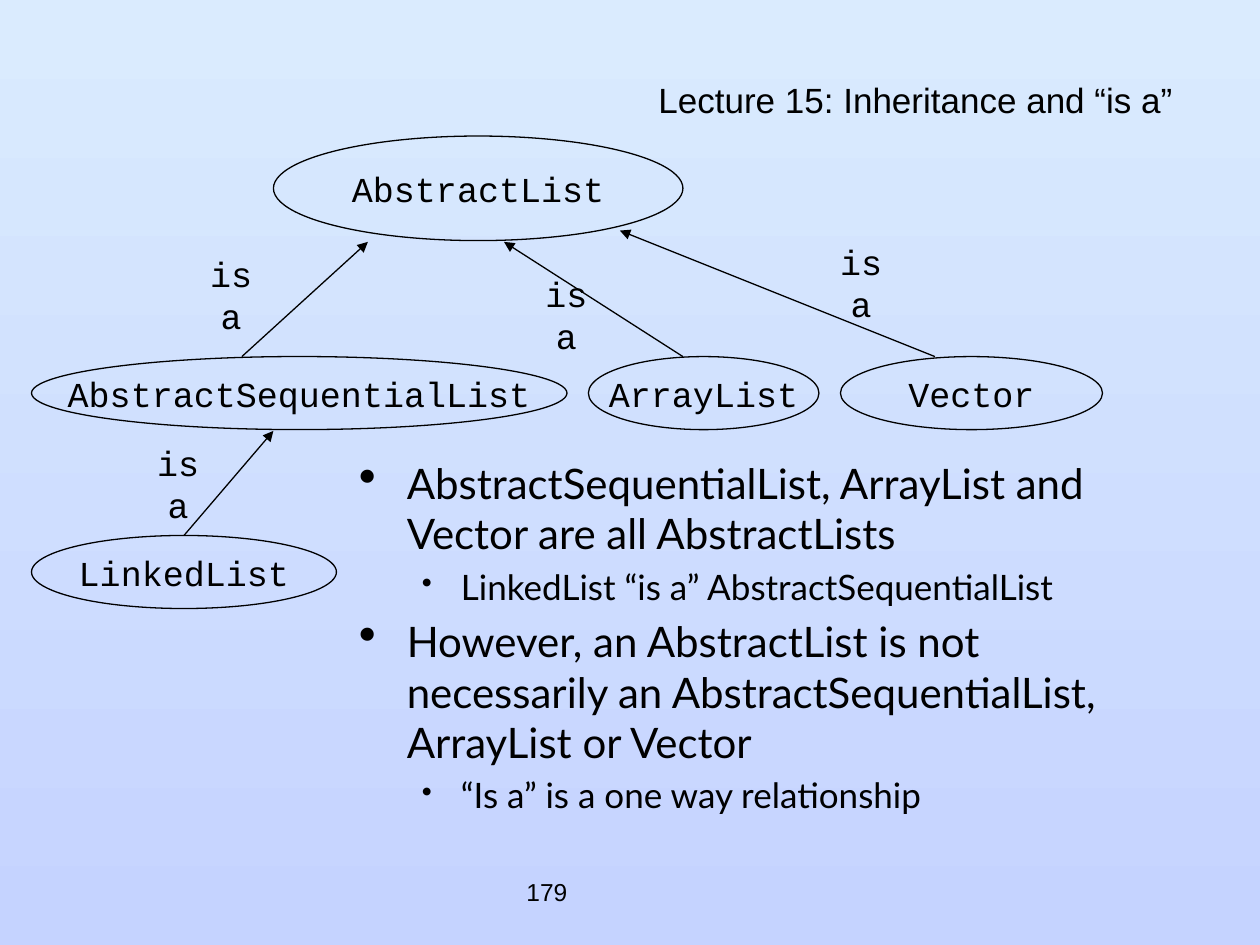
from typing import NamedTuple

import lxml.etree
import pptx
import pptx.dml.color
import pptx.enum.shapes
import pptx.enum.text
import pptx.oxml.ns
import pptx.util

Inches = pptx.util.Inches
Pt = pptx.util.Pt
Align = pptx.enum.text.PP_ALIGN
Anchor = pptx.enum.text.MSO_ANCHOR
qn = pptx.oxml.ns.qn

BLACK = pptx.dml.color.RGBColor(0x00, 0x00, 0x00)
SKY_TOP = pptx.dml.color.RGBColor(0xDA, 0xEB, 0xFE)
SKY_BOTTOM = pptx.dml.color.RGBColor(0xC5, 0xD3, 0xFF)
LINE_WIDTH = Pt(0.75)

TITLE_FONT = {"name": "Arial", "size": Pt(20)}
NUMBER_FONT = {"name": "Arial", "size": Pt(14)}
CODE_FONT = {"name": "Courier New", "size": Pt(20)}


class Box(NamedTuple):
    left: float
    top: float
    width: float
    height: float


class ClassNode(NamedTuple):
    name: str
    box: Box


class IsA(NamedTuple):
    """An arrow from subclass to superclass, and the corner of its label."""
    start: tuple[float, float]
    end: tuple[float, float]
    label: tuple[float, float]


class Level(NamedTuple):
    indent: float
    hanging: float
    bullet_percent: int
    space_before: int
    font: dict


class Point(NamedTuple):
    text: str
    level: int


ROW_TOP, ROW_HEIGHT = 2.83, 0.58
CLASSES = [
    ClassNode("AbstractList", Box(2.17, 1.08, 3.25, 0.83)),
    ClassNode("AbstractSequentialList", Box(0.25, ROW_TOP, 4.25, ROW_HEIGHT)),
    ClassNode("ArrayList", Box(4.67, ROW_TOP, 1.83, ROW_HEIGHT)),
    ClassNode("Vector", Box(6.67, ROW_TOP, 2.08, ROW_HEIGHT)),
    ClassNode("LinkedList", Box(0.25, 4.25, 2.42, ROW_HEIGHT)),
]
RELATIONS = [
    IsA((1.92, ROW_TOP), (2.92, 1.92), (1.42, 2.17)),
    IsA((5.42, ROW_TOP), (4, 1.92), (4.08, 2.33)),
    IsA((7.42, ROW_TOP), (4.92, 1.83), (6.42, 2.08)),
    IsA((1.46, 4.25), (2.17, 3.42), (1, 3.67)),
]
LEVELS = [
    Level(0.38, 0.38, 120, 5, {"name": "Lato", "size": Pt(24)}),
    Level(0.81, 0.31, 85, 4, {"name": "Lato", "size": Pt(20)}),
]
POINTS = [
    Point("AbstractSequentialList, ArrayList and Vector are all AbstractLists", 0),
    Point("LinkedList “is a” AbstractSequentialList", 1),
    Point("However, an AbstractList is not necessarily an "
          "AbstractSequentialList, ArrayList or Vector", 0),
    Point("“Is a” is a one way relationship", 1),
]


def inches(lengths) -> list:
    return [Inches(length) for length in lengths]


def write(paragraph, text: str, font: dict) -> None:
    run = paragraph.add_run()
    run.text = text
    for attribute, value in font.items():
        setattr(run.font, attribute, value)
    run.font.color.rgb = BLACK


def set_frame(shape, wrap: bool, anchor=Anchor.MIDDLE):
    frame = shape.text_frame
    frame.word_wrap = wrap
    frame.vertical_anchor = anchor
    return frame


def add_label(slide, text: str, box: Box, font: dict, align, wrap: bool) -> None:
    frame = set_frame(slide.shapes.add_textbox(*inches(box)), wrap)
    frame.paragraphs[0].alignment = align
    write(frame.paragraphs[0], text, font)


def add_class(slide, node: ClassNode) -> None:
    oval = slide.shapes.add_shape(
        pptx.enum.shapes.MSO_SHAPE.OVAL, *inches(node.box))
    oval.shadow.inherit = False
    oval.fill.background()
    oval.line.color.rgb = BLACK
    oval.line.width = LINE_WIDTH
    paragraph = set_frame(oval, False).paragraphs[0]
    paragraph.alignment = Align.CENTER
    write(paragraph, node.name, CODE_FONT)


def add_relation(slide, relation: IsA) -> None:
    arrow = slide.shapes.add_connector(
        pptx.enum.shapes.MSO_CONNECTOR.STRAIGHT,
        *inches(relation.start + relation.end))
    arrow.line.color.rgb = BLACK
    arrow.line.width = LINE_WIDTH
    properties = arrow.element.spPr
    lxml.etree.SubElement(properties.find(qn("a:ln")), qn("a:tailEnd"), type="triangle")
    lxml.etree.SubElement(properties, qn("a:effectLst"))
    add_label(slide, "is a", Box(*relation.label, 0.83, 0.33), CODE_FONT,
              Align.CENTER, False)


def add_bullet(paragraph, level: Level) -> None:
    properties = paragraph._p.get_or_add_pPr()
    properties.set("marL", str(Inches(level.indent)))
    properties.set("indent", str(-Inches(level.hanging)))
    color = lxml.etree.SubElement(properties, qn("a:buClr"))
    lxml.etree.SubElement(color, qn("a:srgbClr"), val=str(BLACK))
    lxml.etree.SubElement(properties, qn("a:buSzPct"), val=str(level.bullet_percent * 1000))
    lxml.etree.SubElement(properties, qn("a:buChar"), char="•")


def add_points(slide, points: list[Point], box: Box) -> None:
    frame = set_frame(slide.shapes.add_textbox(*inches(box)), True, Anchor.TOP)
    for index, point in enumerate(points):
        level = LEVELS[point.level]
        paragraph = frame.add_paragraph() if index else frame.paragraphs[0]
        paragraph.level = point.level
        add_bullet(paragraph, level)
        if index:
            paragraph.space_before = Pt(level.space_before)
        write(paragraph, point.text, level.font)


def set_title(slide, text: str, box: Box) -> None:
    title = slide.shapes.title
    title.left, title.top, title.width, title.height = inches(box)
    paragraph = set_frame(title, True).paragraphs[0]
    paragraph.alignment = Align.RIGHT
    paragraph.line_spacing = 0.7
    write(paragraph, text, TITLE_FONT)


def set_background(slide) -> None:
    fill = slide.background.fill
    fill.gradient()
    fill.gradient_angle = 270
    for stop, color in zip(fill.gradient_stops, (SKY_TOP, SKY_BOTTOM)):
        stop.color.rgb = color


def main() -> None:
    deck = pptx.Presentation()
    deck.slide_width, deck.slide_height = inches((10, 7.5))
    slide = deck.slides.add_slide(deck.slide_layouts.get_by_name("Title Only"))
    set_background(slide)

    # Page number, title and explanation
    add_label(slide, "179", Box(4.08, 6.83, 2.08, 0.5), NUMBER_FONT, Align.LEFT, True)
    set_title(slide, "Lecture 15: Inheritance and “is a”", Box(0.58, 0.67, 8.83, 0.33))
    add_points(slide, POINTS, Box(2.75, 3.58, 6.75, 3.33))

    # Inheritance diagram
    for node in CLASSES:
        add_class(slide, node)
    for relation in RELATIONS:
        add_relation(slide, relation)

    deck.save("out.pptx")


if __name__ == "__main__":
    main()
